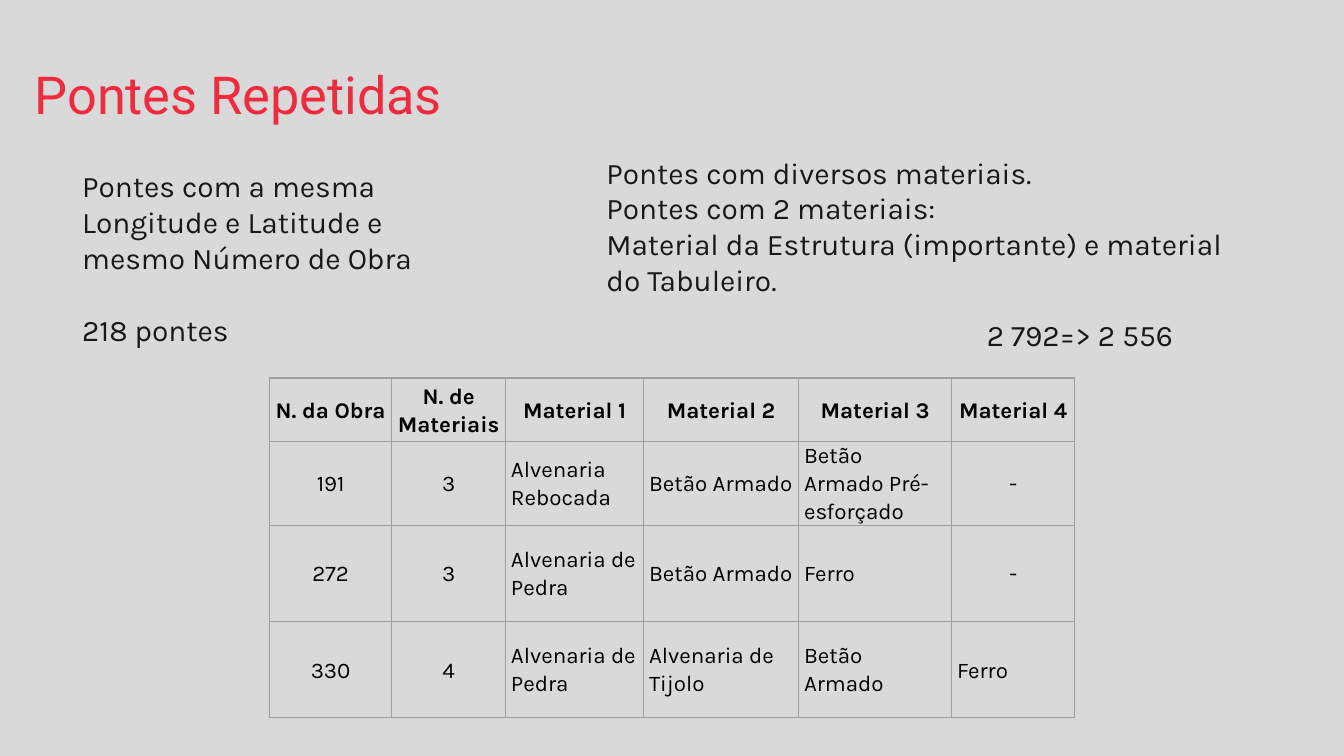
from lxml import etree
from pptx import Presentation
from pptx.dml.color import RGBColor
from pptx.enum.text import MSO_ANCHOR, PP_ALIGN
from pptx.oxml.ns import qn
from pptx.util import Pt

MIDDLE, TOP = MSO_ANCHOR.MIDDLE, MSO_ANCHOR.TOP
CENTER, LEFT = PP_ALIGN.CENTER, PP_ALIGN.LEFT

BACKGROUND, RED, INK, BLACK, GRID = "D9D9D9", "F02B3F", "181818", "000000", "9E9E9E"
BLANK_LAYOUT = 6
LINE_HEIGHT = 19.3

COLUMN_WIDTHS = [65.5, 61, 74, 83, 82, 66]
ROW_HEIGHTS = [34, 45, 51.5, 51.5]
BRIDGES = [
    ["N. da Obra", "N. de Materiais", "Material 1", "Material 2", "Material 3", "Material 4"],
    ["191", "3", "Alvenaria Rebocada", "Betão Armado", "Betão Armado Pré-esforçado", "-"],
    ["272", "3", "Alvenaria de Pedra", "Betão Armado", "Ferro", "-"],
    ["330", "4", "Alvenaria de Pedra", "Alvenaria de Tijolo", "Betão Armado", "Ferro"],
]


def color(value):
    return RGBColor.from_string(value)


def style_font(paragraph, name, size, ink, bold=False):
    font = paragraph.font
    font.name, font.size, font.bold = name, Pt(size), bold
    font.color.rgb = color(ink)


def add_text(slide, left, top, width, height, lines,
             font="Karla", size=16, ink=INK, indent=10.8, anchor=TOP):
    """Add a text box with one paragraph per line and return its paragraphs."""
    frame = slide.shapes.add_textbox(Pt(left), Pt(top), Pt(width), Pt(height)).text_frame
    frame.word_wrap = True
    frame.vertical_anchor = anchor
    frame.margin_left = frame.margin_right = Pt(7.2)
    frame.margin_top = frame.margin_bottom = Pt(7.2)
    frame.text = "\n".join(lines)
    for paragraph in frame.paragraphs:
        style_font(paragraph, font, size, ink)
        properties = paragraph._p.get_or_add_pPr()
        properties.set("marL", str(Pt(indent)))
        properties.set("indent", "0")
    return frame.paragraphs


def set_borders(cell, ink, width):
    properties = cell._tc.get_or_add_tcPr()
    for position, side in enumerate(("lnL", "lnR", "lnT", "lnB")):
        line = etree.Element(qn(f"a:{side}"), w=str(Pt(width)))
        fill = etree.SubElement(line, qn("a:solidFill"))
        etree.SubElement(fill, qn("a:srgbClr"), val=ink)
        properties.insert(position, line)


def fill_cell(cell, text, is_header, is_centered):
    cell.fill.background()
    set_borders(cell, GRID, 0.75)
    cell.vertical_anchor = MIDDLE
    cell.margin_left = cell.margin_right = Pt(2.9)
    cell.margin_top = cell.margin_bottom = Pt(0)
    cell.text = text
    paragraph = cell.text_frame.paragraphs[0]
    paragraph.alignment = CENTER if is_centered else LEFT
    paragraph.line_spacing = 1.07
    paragraph.space_after = Pt(8)
    style_font(paragraph, "Karla", 12, BLACK, is_header)


def add_bridge_table(slide, left, top):
    table = slide.shapes.add_table(
        len(BRIDGES), len(COLUMN_WIDTHS), Pt(left), Pt(top),
        Pt(sum(COLUMN_WIDTHS)), Pt(sum(ROW_HEIGHTS))).table
    table.horz_banding = False
    for column, width in zip(table.columns, COLUMN_WIDTHS):
        column.width = Pt(width)
    for r, (bridge, height) in enumerate(zip(BRIDGES, ROW_HEIGHTS)):
        table.rows[r].height = Pt(height)
        for c, text in enumerate(bridge):
            # Headers, numbers and missing materials are centred
            is_centered = r == 0 or c < 2 or text == "-"
            fill_cell(table.cell(r, c), text, r == 0, is_centered)


def main():
    deck = Presentation()
    deck.slide_width, deck.slide_height = Pt(720), Pt(405)
    slide = deck.slides.add_slide(deck.slide_layouts[BLANK_LAYOUT])
    slide.background.fill.solid()
    slide.background.fill.fore_color.rgb = color(BACKGROUND)

    # Table of bridges with several materials
    add_bridge_table(slide, 144.4, 202.5)

    # Repeated bridges, with the count one line below
    repeated = add_text(slide, 26.2, 82.8, 213.8, 79.2, [
        "Pontes com a mesma Longitude e Latitude e mesmo Número de Obra",
        "218 pontes"])
    repeated[1].space_before = Pt(LINE_HEIGHT)

    # Title
    add_text(slide, 11.5, 17.3, 303, 65.5, ["Pontes Repetidas"],
             font="Roboto", size=28, ink=RED, indent=0, anchor=MIDDLE)

    # Materials and the resulting totals
    add_text(slide, 307, 75.4, 366.5, 94.3, [
        "Pontes com diversos materiais.",
        "Pontes com 2 materiais:",
        "Material da Estrutura (importante) e material do Tabuleiro."])
    add_text(slide, 510.8, 162.7, 213.8, 79.2, ["2 792=> 2 556"])

    deck.save("out.pptx")


if __name__ == "__main__":
    main()
